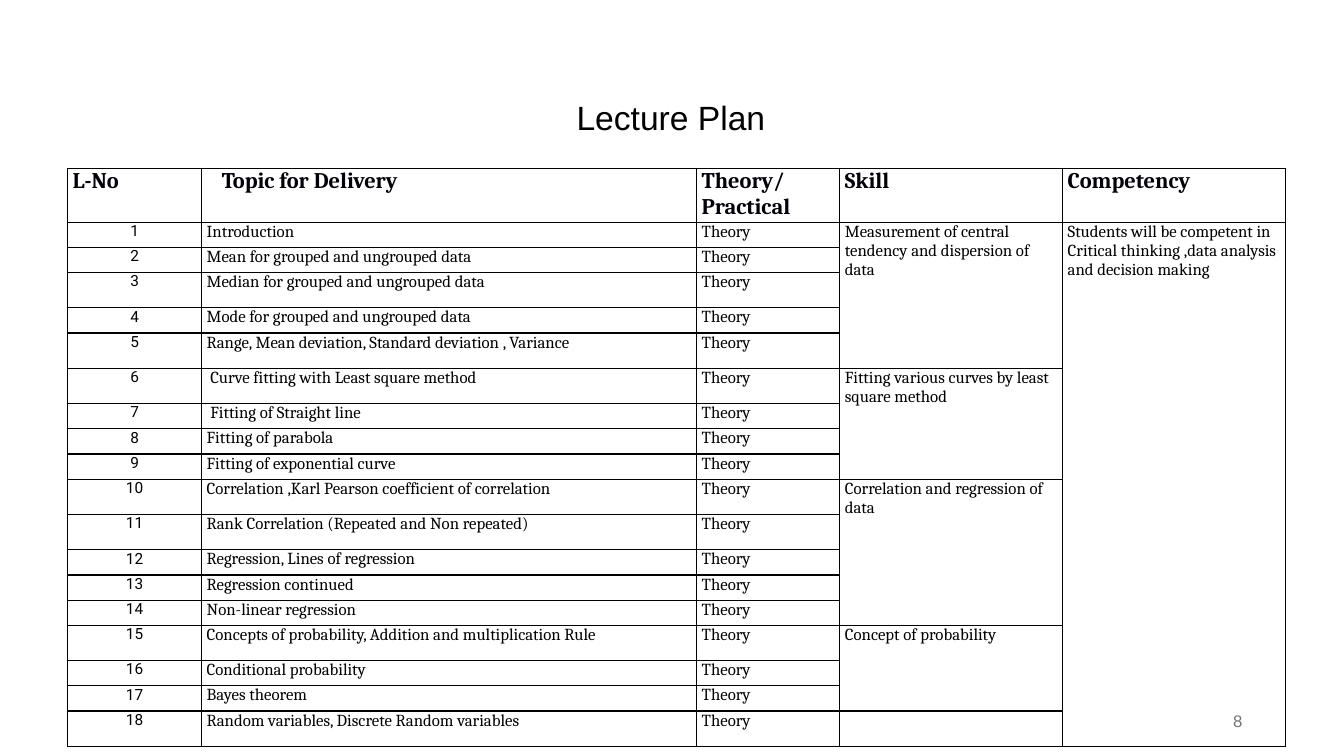
from dataclasses import dataclass

import lxml.etree
import pptx
import pptx.dml.color
import pptx.enum.text
import pptx.oxml.ns
import pptx.slide
import pptx.table
import pptx.text.text
import pptx.util

Inches = pptx.util.Inches
Pt = pptx.util.Pt
RGBColor = pptx.dml.color.RGBColor
Align = pptx.enum.text.PP_ALIGN
qn = pptx.oxml.ns.qn

BLACK = RGBColor(0x00, 0x00, 0x00)
HEADER_INK = RGBColor(0x00, 0x00, 0x09)
GRAY = RGBColor(0x75, 0x75, 0x75)


@dataclass(frozen=True)
class TextStyle:
    font: str
    size: float
    color: RGBColor = BLACK
    bold: bool = False
    align: Align = Align.LEFT
    space_before: float = 0


@dataclass(frozen=True)
class Lecture:
    topic: str
    height: float


@dataclass(frozen=True)
class Skill:
    """A skill cell that spans several lectures."""
    text: str
    lecture_count: int


TITLE = TextStyle("Arial", 24)
PAGE_NUMBER = TextStyle("Arial", 12, GRAY, align=Align.RIGHT)
HEADER = TextStyle("Cambria", 16, HEADER_INK, bold=True)
NUMBER = TextStyle("Roboto", 11, align=Align.CENTER, space_before=1.1)
BODY = TextStyle("Cambria", 12)
JUSTIFIED = TextStyle("Cambria", 12, align=Align.JUSTIFY)

SHORT, TALL = 0.25, 0.35
HEADER_HEIGHT = 0.38
CELL_MARGIN, NUMBER_MARGIN, TOPIC_HEADER_MARGIN = 0.05, 0.07, 0.2
COLUMN_WIDTHS = (1.33, 4.91, 1.42, 2.21, 2.21)
HEADERS = ("L-No", "Topic for Delivery", "Theory/Practical", "Skill", "Competency")
NUMBER_COLUMN, TOPIC_COLUMN, MODE_COLUMN, SKILL_COLUMN, COMPETENCY_COLUMN = range(5)
COMPETENCY = "Students will be competent in Critical thinking ,data analysis and decision making"

LECTURES = (
    Lecture("Introduction", SHORT),
    Lecture("Mean for grouped and ungrouped data", SHORT),
    Lecture("Median for grouped and ungrouped data", TALL),
    Lecture("Mode for grouped and ungrouped data", SHORT),
    Lecture("Range, Mean deviation, Standard deviation , Variance", TALL),
    Lecture(" Curve fitting with Least square method", TALL),
    Lecture(" Fitting of Straight line", SHORT),
    Lecture("Fitting of parabola", SHORT),
    Lecture("Fitting of exponential curve", SHORT),
    Lecture("Correlation ,Karl Pearson coefficient of correlation", TALL),
    Lecture("Rank Correlation (Repeated and Non repeated)", TALL),
    Lecture("Regression, Lines of regression", SHORT),
    Lecture("Regression continued", SHORT),
    Lecture("Non-linear regression", SHORT),
    Lecture("Concepts of probability, Addition and multiplication Rule", TALL),
    Lecture("Conditional probability", SHORT),
    Lecture("Bayes theorem", SHORT),
    Lecture("Random variables, Discrete Random variables", TALL),
)
JUSTIFIED_LECTURE = 12

SKILLS = (
    Skill("Measurement of central tendency and dispersion of data", 5),
    Skill("Fitting various curves by least square method", 4),
    Skill("Correlation and regression of data", 5),
    Skill("Concept of probability", 3),
)


def write(frame: pptx.text.text.TextFrame, text: str, style: TextStyle) -> None:
    paragraph = frame.paragraphs[0]
    paragraph.alignment = style.align
    if style.space_before:
        paragraph.space_before = Pt(style.space_before)
    run = paragraph.add_run()
    run.text = text
    run.font.name = style.font
    run.font.size = Pt(style.size)
    run.font.bold = style.bold
    run.font.color.rgb = style.color


def add_text(slide: pptx.slide.Slide, left: float, top: float, width: float,
             height: float, text: str, style: TextStyle, wrap: bool) -> None:
    box = slide.shapes.add_textbox(Inches(left), Inches(top), Inches(width), Inches(height))
    box.text_frame.word_wrap = wrap
    box.text_frame.vertical_anchor = pptx.enum.text.MSO_ANCHOR.MIDDLE
    write(box.text_frame, text, style)


def format_cell(cell: pptx.table._Cell, margin: float) -> None:
    """Clear the fill, set the margins, a small empty line and four borders."""
    cell.fill.background()
    cell.margin_left = cell.margin_right = Inches(margin)
    cell.margin_top = cell.margin_bottom = 0
    paragraph = cell.text_frame.paragraphs[0]
    lxml.etree.SubElement(paragraph._p, qn("a:endParaRPr"), sz=str(BODY.size * 100))
    properties = cell._tc.get_or_add_tcPr()
    for position, side in enumerate(("a:lnL", "a:lnR", "a:lnT", "a:lnB")):
        line = lxml.etree.Element(qn(side), w=str(Pt(1)))
        fill = lxml.etree.SubElement(line, qn("a:solidFill"))
        lxml.etree.SubElement(fill, qn("a:srgbClr"), val=str(BLACK))
        properties.insert(position, line)


def add_lecture_table(slide: pptx.slide.Slide) -> None:
    heights = (HEADER_HEIGHT, *(lecture.height for lecture in LECTURES))
    table = slide.shapes.add_table(
        len(heights), len(COLUMN_WIDTHS), Inches(0.67), Inches(1.67),
        Inches(sum(COLUMN_WIDTHS)), Inches(sum(heights))).table
    table.first_row = table.horz_banding = False
    for column, width in zip(table.columns, COLUMN_WIDTHS):
        column.width = Inches(width)
    for row, height in zip(table.rows, heights):
        row.height = Inches(height)
        for index, cell in enumerate(row.cells):
            format_cell(cell, NUMBER_MARGIN if index == NUMBER_COLUMN else CELL_MARGIN)

    for index, header in enumerate(HEADERS):
        write(table.cell(0, index).text_frame, header, HEADER)
    table.cell(0, NUMBER_COLUMN).margin_left = Inches(CELL_MARGIN)
    table.cell(0, TOPIC_COLUMN).margin_left = Inches(TOPIC_HEADER_MARGIN)

    for number, lecture in enumerate(LECTURES, start=1):
        topic_style = JUSTIFIED if number == JUSTIFIED_LECTURE else BODY
        write(table.cell(number, NUMBER_COLUMN).text_frame, str(number), NUMBER)
        write(table.cell(number, TOPIC_COLUMN).text_frame, lecture.topic, topic_style)
        write(table.cell(number, MODE_COLUMN).text_frame, "Theory", BODY)

    first = 1
    for skill in SKILLS:
        cell = table.cell(first, SKILL_COLUMN)
        cell.merge(table.cell(first + skill.lecture_count - 1, SKILL_COLUMN))
        write(cell.text_frame, skill.text, BODY)
        first += skill.lecture_count
    competency = table.cell(1, COMPETENCY_COLUMN)
    competency.merge(table.cell(len(LECTURES), COMPETENCY_COLUMN))
    write(competency.text_frame, COMPETENCY, BODY)


def main() -> None:
    presentation = pptx.Presentation()
    presentation.slide_width = Inches(13.33)
    presentation.slide_height = Inches(7.5)
    slide = presentation.slides.add_slide(presentation.slide_layouts[6])
    add_text(slide, 9.42, 6.95, 3, 0.4, "8", PAGE_NUMBER, wrap=True)
    add_lecture_table(slide)
    add_text(slide, 5.62, 0.91, 2.09, 0.5, "Lecture Plan", TITLE, wrap=False)
    presentation.save("out.pptx")


if __name__ == "__main__":
    main()
